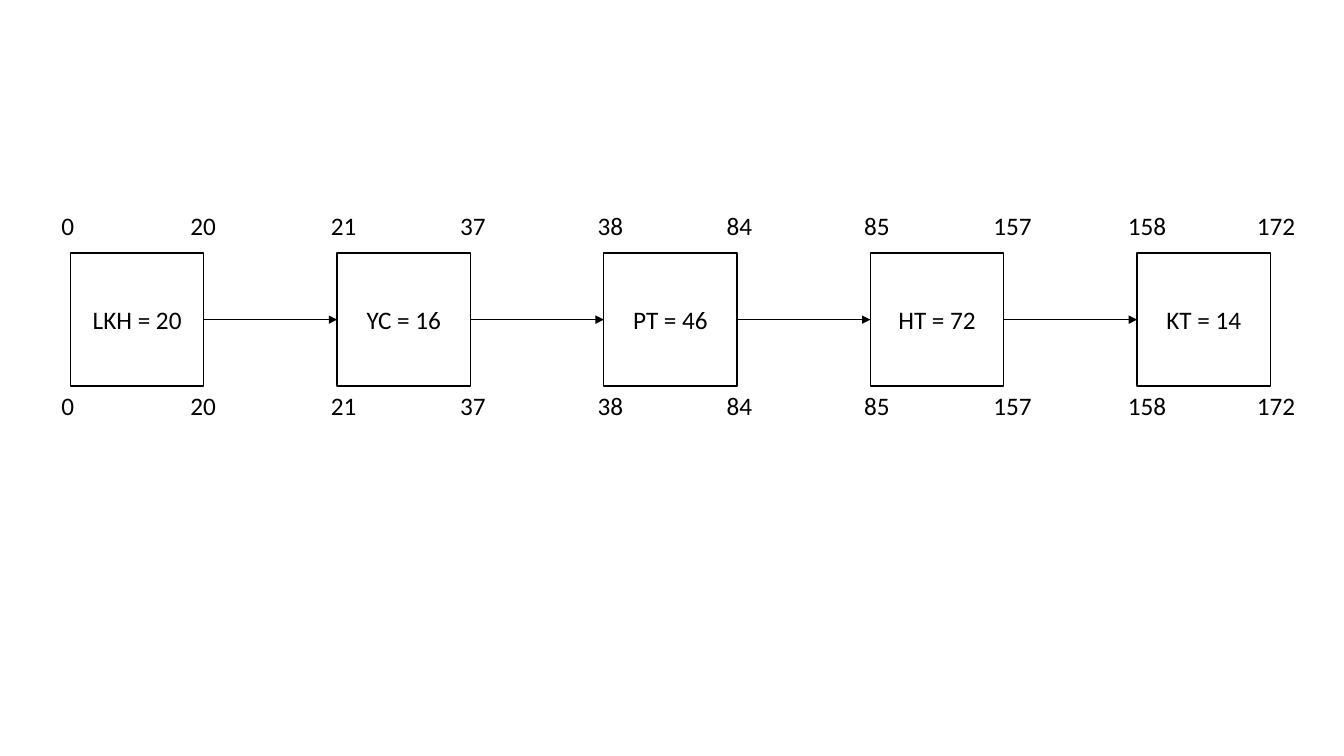
from dataclasses import dataclass

from lxml import etree
from pptx import Presentation
from pptx import util as u
from pptx.dml.color import RGBColor
from pptx.enum import shapes, text
from pptx.oxml import ns

BLACK = RGBColor(0x00, 0x00, 0x00)
WHITE = RGBColor(0xFF, 0xFF, 0xFF)
FONT = "Calibri"

# Nine equal columns: boxes stand in the even ones, arrows in the odd ones
LEFT, RIGHT, TOP = 0.7, 12.6, 2.51
CELL = (RIGHT - LEFT) / 9
LABEL_W, LABEL_H = 0.7, 0.4
LABEL_ROWS = (2.04, 3.82)
START_DX, END_DX = -0.16, 1.12  # label offsets from the box's left side


@dataclass
class Task:
    name: str
    duration: int
    start: int
    end: int
    nudge: float = 0.0  # extra label shift, inches


TASKS = [
    Task("LKH", 20, 0, 20, -0.03),
    Task("YC", 16, 21, 37),
    Task("PT", 46, 38, 84),
    Task("HT", 72, 85, 157),
    Task("KT", 14, 158, 172, -0.03),
]


def add_run(p, content: str) -> None:
    r = p.add_run()
    r.text = content
    r.font.name = FONT
    r.font.size = u.Pt(18)
    r.font.color.rgb = BLACK


def add_box(s, x: float, task: Task):
    sp = s.shapes.add_shape(shapes.MSO_SHAPE.RECTANGLE, u.Inches(x),
                            u.Inches(TOP), u.Inches(CELL), u.Inches(CELL))
    sp.shadow.inherit = False
    sp.fill.solid()
    sp.fill.fore_color.rgb = WHITE
    sp.line.color.rgb = BLACK
    sp.line.width = u.Pt(1)
    tf = sp.text_frame
    tf.vertical_anchor = text.MSO_ANCHOR.MIDDLE
    p = tf.paragraphs[0]
    p.alignment = text.PP_ALIGN.CENTER
    add_run(p, f"{task.name} = {task.duration}")
    return sp


def add_label(s, x: float, y: float, value: int) -> None:
    sp = s.shapes.add_textbox(u.Inches(x), u.Inches(y),
                              u.Inches(LABEL_W), u.Inches(LABEL_H))
    tf = sp.text_frame
    tf.word_wrap = True
    tf.auto_size = text.MSO_AUTO_SIZE.SHAPE_TO_FIT_TEXT
    add_run(tf.paragraphs[0], str(value))


def add_arrow(s, source, target) -> None:
    cx = s.shapes.add_connector(shapes.MSO_CONNECTOR.STRAIGHT, 0, 0, 0, 0)
    cx.begin_connect(source, 3)
    cx.end_connect(target, 1)
    cx.line.color.rgb = BLACK
    cx.line.width = u.Pt(0.5)
    ln = cx.line._get_or_add_ln()
    etree.SubElement(ln, ns.qn("a:tailEnd"), type="triangle")
    etree.SubElement(cx._element.spPr, ns.qn("a:effectLst"))


def main() -> None:
    prs = Presentation()
    prs.slide_width, prs.slide_height = u.Inches(13.33), u.Inches(7.5)
    s = prs.slides.add_slide(prs.slide_layouts[6])

    # Task boxes
    lefts = [LEFT + 2 * i * CELL for i in range(len(TASKS))]
    boxes = [add_box(s, x, task) for x, task in zip(lefts, TASKS)]

    # Arrows between neighbours
    for source, target in zip(boxes, boxes[1:]):
        add_arrow(s, source, target)

    # Start and end times above and below each box
    for x, task in zip(lefts, TASKS):
        for y in LABEL_ROWS:
            add_label(s, x + START_DX + task.nudge, y, task.start)
            add_label(s, x + END_DX + task.nudge, y, task.end)

    prs.save("out.pptx")


if __name__ == "__main__":
    main()
